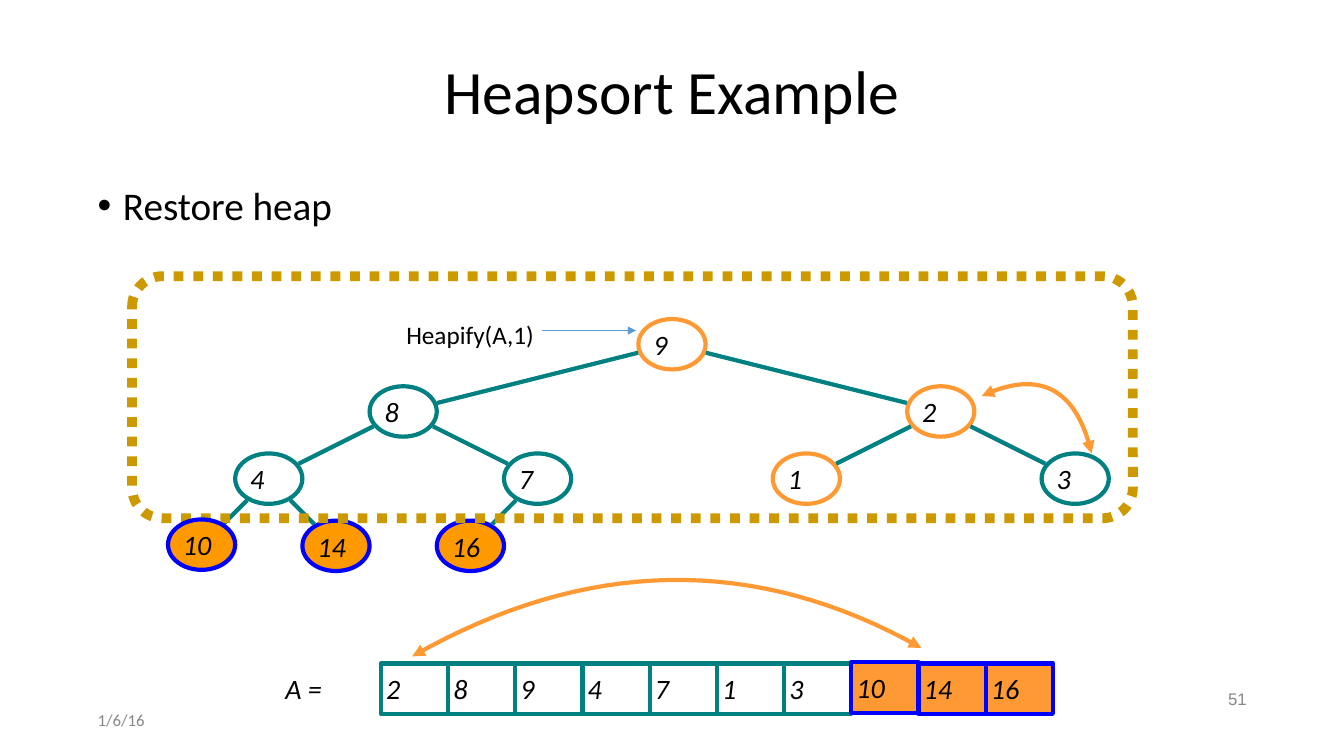
from dataclasses import dataclass
from math import hypot

from lxml.etree import SubElement
from pptx import Presentation
from pptx.dml.color import RGBColor
from pptx.enum.dml import MSO_LINE
from pptx.enum.shapes import MSO_CONNECTOR, MSO_SHAPE
from pptx.enum.text import MSO_ANCHOR, MSO_AUTO_SIZE, PP_ALIGN
from pptx.oxml.ns import qn
from pptx.util import Cm, Pt


@dataclass(frozen=True)
class Theme:
    font: str = "Calibri"
    number_font: str = "Arial"
    black: str = "000000"
    grey: str = "888888"
    white: str = "FFFFFF"
    teal: str = "008080"
    orange: str = "FF9933"
    sorted_node: str = "FF9900"
    blue: str = "0000FF"
    arrow: str = "5B9BD5"
    gold: str = "CC9A00"
    title_size: int = 44
    body_size: int = 28
    value_size: int = 20
    call_size: int = 18
    footer_size: int = 12
    stroke: int = 3


THEME = Theme()
SLIDE_WIDTH, SLIDE_HEIGHT = 33.87, 19.05
CELL = SLIDE_WIDTH / 20
CELL_HEIGHT = 1.27
TREE_TOP = 8.04
ARRAY_LEFT, ARRAY_TOP = 9.6, 16.72
LIFT = 0.03

NODES = {
    "9": (9.5, 0, THEME.orange),
    "8": (5.5, 1, THEME.teal),
    "2": (13.5, 1, THEME.orange),
    "4": (3.5, 2, THEME.teal),
    "7": (7.5, 2, THEME.teal),
    "1": (11.5, 2, THEME.orange),
    "3": (15.5, 2, THEME.teal),
    "10": (2.5, 3, THEME.blue),
    "14": (4.5, 3, THEME.blue),
    "16": (6.5, 3, THEME.blue),
}
CHILDREN = {"9": "8 2", "8": "4 7", "2": "1 3", "4": "10 14", "7": "16"}
ARRAY = ["2", "8", "9", "4", "7", "1", "3", "10", "14", "16"]
SORTED = {"10", "14", "16"}
MOVED = "10"


def set_outline(shape, color, width=THEME.stroke):
    shape.line.color.rgb = RGBColor.from_string(color)
    shape.line.width = Pt(width)


def set_fill(shape, color):
    if color is None:
        shape.fill.background()
    else:
        shape.fill.solid()
        shape.fill.fore_color.rgb = RGBColor.from_string(color)


def add_arrowheads(shape, *ends):
    outline = shape.line._get_or_add_ln()
    for end in ends:
        SubElement(outline, qn(f"a:{end}"), type="triangle")


def write_text(shape, text, size, color=THEME.black, font=THEME.font, italic=False,
               align=PP_ALIGN.LEFT, anchor=MSO_ANCHOR.MIDDLE, spacing=1.0, wrap=True):
    frame = shape.text_frame
    frame.auto_size = MSO_AUTO_SIZE.NONE
    frame.word_wrap = wrap
    frame.vertical_anchor = anchor
    frame.margin_left = frame.margin_right = Cm(0.13)
    frame.margin_top = frame.margin_bottom = Cm(0.13)
    paragraph = frame.paragraphs[0]
    paragraph.alignment = align
    paragraph.line_spacing = spacing
    run = paragraph.add_run()
    run.text = text
    run.font.name = font
    run.font.size = Pt(size)
    run.font.italic = italic
    run.font.color.rgb = RGBColor.from_string(color)
    return paragraph


def add_label(slide, left, top, width, height, text, size, **style):
    box = slide.shapes.add_textbox(Cm(left), Cm(top), Cm(width), Cm(height))
    return write_text(box, text, size, **style)


def add_bullet(paragraph):
    properties = paragraph._p.get_or_add_pPr()
    properties.set("marL", str(Cm(0.64)))
    properties.set("indent", str(-Cm(0.64)))
    SubElement(properties, qn("a:buFont"), typeface="Arial")
    SubElement(properties, qn("a:buChar"), char="•")


def add_box(slide, kind, left, top, width, height, fill, outline, stroke=THEME.stroke):
    shape = slide.shapes.add_shape(kind, Cm(left), Cm(top), Cm(width), Cm(height))
    shape.shadow.inherit = False
    set_fill(shape, fill)
    set_outline(shape, outline, stroke)
    return shape


def add_value(slide, kind, left, top, value, fill, outline):
    shape = add_box(slide, kind, left, top, CELL, CELL_HEIGHT, fill, outline)
    write_text(shape, value, THEME.value_size, italic=True)


def add_node(slide, value, lift=0.0):
    column, row, outline = NODES[value]
    fill = THEME.sorted_node if value in SORTED else THEME.white
    add_value(slide, MSO_SHAPE.OVAL, column * CELL, TREE_TOP + row * CELL - lift,
              value, fill, outline)


def add_array_cell(slide, value, lift=0.0):
    fill, outline = (THEME.orange, THEME.blue) if value in SORTED else (None, THEME.teal)
    add_value(slide, MSO_SHAPE.RECTANGLE, ARRAY_LEFT + ARRAY.index(value) * CELL,
              ARRAY_TOP - lift, value, fill, outline)


def add_line(slide, start, end, color, stroke):
    line = slide.shapes.add_connector(
        MSO_CONNECTOR.STRAIGHT, *(Cm(length) for length in (*start, *end)))
    set_outline(line, color, stroke)
    SubElement(line._element.spPr, qn("a:effectLst"))
    return line


def node_center(value):
    column, row, _ = NODES[value]
    return (column + 0.5) * CELL, TREE_TOP + row * CELL + CELL_HEIGHT / 2


def add_edge(slide, parent, child):
    (x1, y1), (x2, y2) = node_center(parent), node_center(child)
    half_stroke = 0.05
    across = (x2 - x1) / (CELL / 2 + half_stroke)
    down = (y2 - y1) / (CELL_HEIGHT / 2 + half_stroke)
    share = 1 / hypot(across, down)
    dx, dy = (x2 - x1) * share, (y2 - y1) * share
    add_line(slide, (x1 + dx, y1 + dy), (x2 - dx, y2 - dy), THEME.teal, THEME.stroke)


def add_swap_curve(slide, *controls, steps=32):
    points = []
    for step in range(steps + 1):
        t = step / steps
        weights = ((1 - t) ** 3, 3 * t * (1 - t) ** 2, 3 * t * t * (1 - t), t ** 3)
        points.append(tuple(
            Cm(sum(weight * control[axis] for weight, control in zip(weights, controls)))
            for axis in (0, 1)))
    builder = slide.shapes.build_freeform(*points[0])
    builder.add_line_segments(points[1:], close=False)
    curve = builder.convert_to_shape()
    curve.shadow.inherit = False
    set_fill(curve, None)
    set_outline(curve, THEME.orange)
    add_arrowheads(curve, "headEnd", "tailEnd")


def add_texts(slide):
    title = slide.shapes.title
    title.left, title.top, title.width, title.height = Cm(2.33), Cm(1.01), Cm(29.21), Cm(2.72)
    write_text(title, "Heapsort Example", THEME.title_size, align=PP_ALIGN.CENTER, spacing=0.9)
    add_bullet(add_label(slide, 2.33, 4.57, 13.54, 1.75, "Restore heap", THEME.body_size,
                         anchor=MSO_ANCHOR.TOP, spacing=0.9))
    add_label(slide, 2.33, 17.78, 7.62, 0.74, "1/6/16", THEME.footer_size, color=THEME.grey)
    add_label(slide, 23.93, 17.27, 7.62, 0.74, "51", THEME.footer_size, color=THEME.grey,
              font=THEME.number_font, align=PP_ALIGN.RIGHT, spacing=0.9)
    add_label(slide, 7.06, 16.81, 1.22, 1.09, "A =", THEME.value_size, italic=True, wrap=False)
    add_label(slide, 10.11, 7.92, 3.51, 1.04, "Heapify(A,1)", THEME.call_size,
              anchor=MSO_ANCHOR.TOP, wrap=False)


def main():
    presentation = Presentation()
    presentation.slide_width, presentation.slide_height = Cm(SLIDE_WIDTH), Cm(SLIDE_HEIGHT)
    slide = presentation.slides.add_slide(presentation.slide_layouts[5])
    add_texts(slide)
    for value in NODES:
        if value != MOVED:
            add_node(slide, value)
    for parent, children in CHILDREN.items():
        for child in children.split():
            add_edge(slide, parent, child)
    for value in ARRAY:
        if value != MOVED:
            add_array_cell(slide, value)
    add_swap_curve(slide, (23.22, 16.33), (19.05, 13.97), (14.76, 14.05), (10.39, 16.54))
    call_arrow = add_line(slide, (13.67, 8.33), (16.03, 8.33), THEME.arrow, 1)
    add_arrowheads(call_arrow, "tailEnd")
    heap_frame = add_box(slide, MSO_SHAPE.ROUNDED_RECTANGLE, 3.33, 6.96, 25.22, 6.1,
                         None, THEME.gold, 7)
    heap_frame.adjustments[0] = 0.125
    heap_frame.line.dash_style = MSO_LINE.ROUND_DOT
    add_node(slide, MOVED, LIFT)
    add_swap_curve(slide, (27.51, 11.43), (27.13, 9.78), (26.19, 9.3), (24.74, 9.98))
    add_array_cell(slide, MOVED, LIFT)
    presentation.save("out.pptx")


if __name__ == "__main__":
    main()
